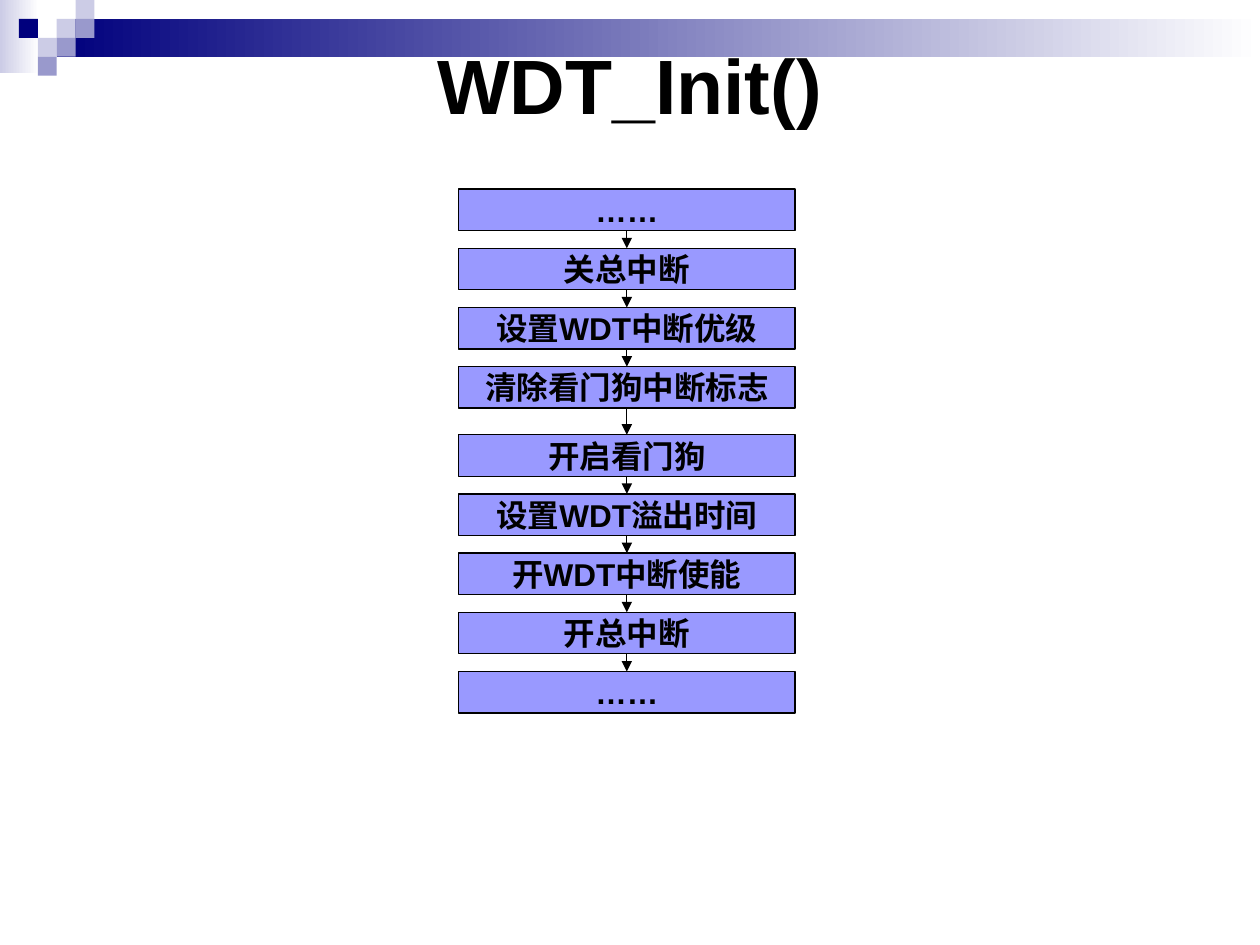
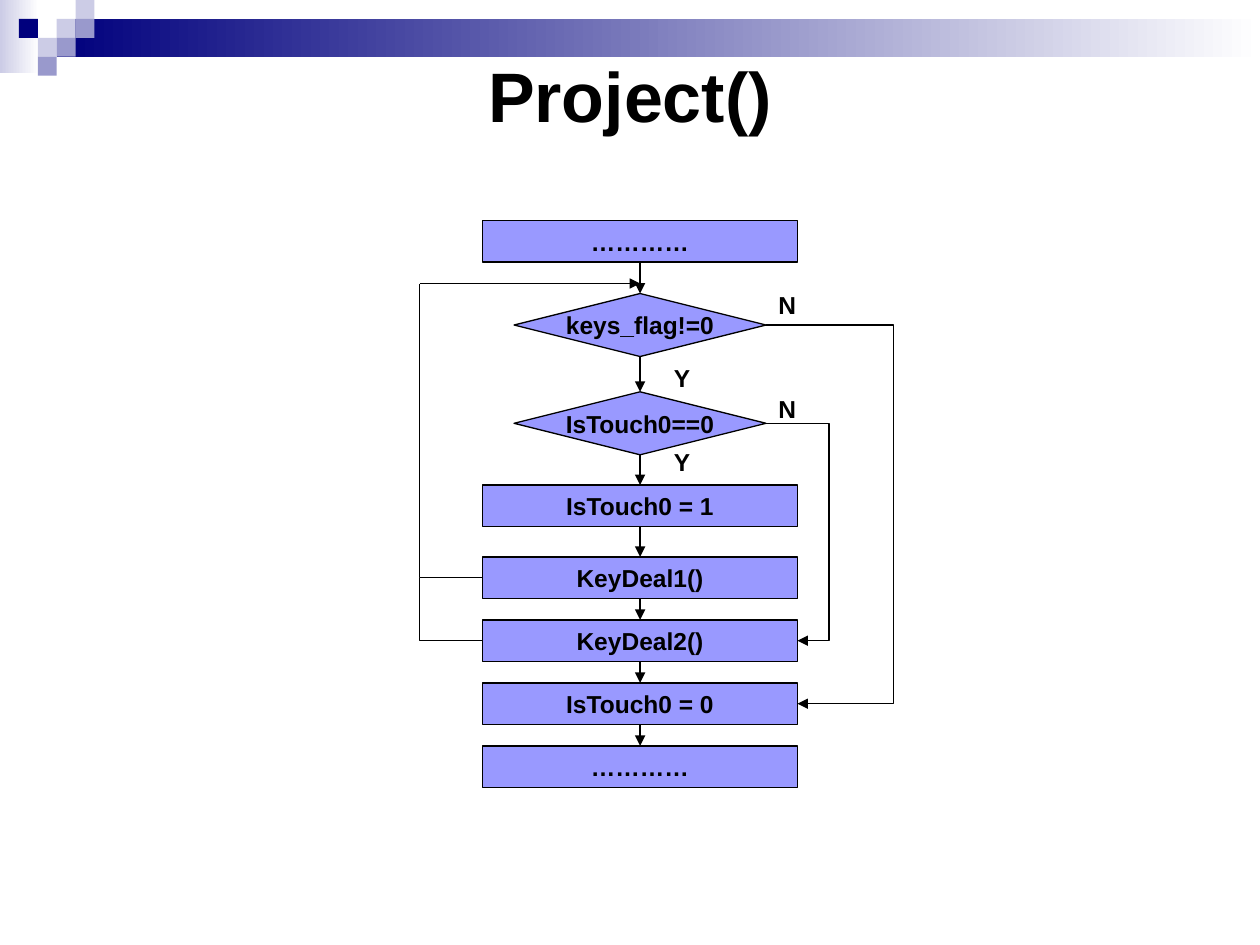
"""Build two flowchart slides for a watchdog and key-handling program."""
import dataclasses

import pptx
import pptx.dml.color
import pptx.enum.shapes
import pptx.enum.text
import pptx.oxml.ns
import pptx.oxml.xmlchemy
import pptx.util

Inches = pptx.util.Inches
Shape = pptx.enum.shapes.MSO_SHAPE
Connector = pptx.enum.shapes.MSO_CONNECTOR
Align = pptx.enum.text.PP_ALIGN
Anchor = pptx.enum.text.MSO_ANCHOR
OxmlElement = pptx.oxml.xmlchemy.OxmlElement
qn = pptx.oxml.ns.qn
TOP, LEFT, BOTTOM, RIGHT = range(4)


@dataclasses.dataclass(frozen=True)
class Theme:
    """Colours, font and sizes used on every slide."""
    ink: str = "000000"
    node: str = "9999FF"
    navy: str = "00007D"
    mid: str = "9999CC"
    pale: str = "CCCCE6"
    white: str = "FFFFFF"
    font: str = "Arial"
    init_title: int = 44
    project_title: int = 40
    init_node: int = 18
    project_node: int = 14
    line: float = 0.75


@dataclasses.dataclass(frozen=True)
class Box:
    """A region in inches."""
    x: float
    y: float
    w: float
    h: float


THEME = Theme()


def rgb(value):
    """Turn a hex string into a colour."""
    return pptx.dml.color.RGBColor.from_string(value)


def write(tf, text, size, align=Align.CENTER, anchor=Anchor.MIDDLE, wrap=False):
    """Put one bold run into a text frame."""
    tf.word_wrap = wrap
    tf.auto_size = pptx.enum.text.MSO_AUTO_SIZE.NONE
    tf.vertical_anchor = anchor
    p = tf.paragraphs[0]
    p.alignment = align
    r = p.add_run()
    r.text = text
    r.font.name = THEME.font
    r.font.size = pptx.util.Pt(size)
    r.font.bold = True
    r.font.color.rgb = rgb(THEME.ink)


def add_block(slide, kind, box, *colours):
    """Add a borderless shape, with a gradient for two colours."""
    sp = slide.shapes.add_shape(kind, Inches(box.x), Inches(box.y),
                                Inches(box.w), Inches(box.h))
    sp.shadow.inherit = False
    sp.line.fill.background()
    if len(colours) == 1:
        sp.fill.solid()
        sp.fill.fore_color.rgb = rgb(colours[0])
    else:
        sp.fill.gradient()
        sp.fill.gradient_angle = 0
        for stop, colour in zip(sp.fill.gradient_stops, colours):
            stop.color.rgb = rgb(colour)
    return sp


def add_node(slide, kind, box, text, size):
    """Add one labelled flowchart node."""
    sp = add_block(slide, kind, box, THEME.node)
    sp.line.color.rgb = rgb(THEME.ink)
    sp.line.width = pptx.util.Pt(THEME.line)
    write(sp.text_frame, text, size)
    return sp


def add_line(slide, start, end, kind=Connector.STRAIGHT, arrow=True):
    """Add a thin connector between two points."""
    c = slide.shapes.add_connector(kind, *(Inches(v) for v in (*start, *end)))
    c.line.color.rgb = rgb(THEME.ink)
    c.line.width = pptx.util.Pt(THEME.line)
    if arrow:
        tail = OxmlElement("a:tailEnd")
        tail.set("type", "triangle")
        c.element.spPr.find(qn("a:ln")).append(tail)
    c.element.spPr.append(OxmlElement("a:effectLst"))
    return c


def add_skip(slide, start, end, lane):
    """Route an arrow out to a vertical lane and back to its end."""
    c = add_line(slide, start, end, Connector.ELBOW)
    guides = c.element.spPr.find(qn("a:prstGeom")).get_or_add_avLst()
    gd = OxmlElement("a:gd")
    gd.set("name", "adj1")
    ratio = (lane - start[0]) / (end[0] - start[0])
    gd.set("fmla", f"val {round(ratio * 100000)}")
    guides.append(gd)


def add_return(slide, start, end):
    """Draw a corner that runs left from start and then up to end."""
    c = add_line(slide, end, start, Connector.ELBOW, arrow=False)
    c.element.spPr.find(qn("a:prstGeom")).set("prst", "bentConnector2")
    c.element.spPr.find(qn("a:xfrm")).set("rot", str(180 * 60000))


def link_nodes(slide, nodes):
    """Join each node to the next with an arrow."""
    for upper, lower in zip(nodes, nodes[1:]):
        c = add_line(slide, (0, 0), (0, 0))
        c.begin_connect(upper, BOTTOM)
        c.end_connect(lower, TOP)


def decorate_layout(slide, layout):
    """Move the shared band and squares into the layout."""
    for ph in list(layout.placeholders)[1:]:
        ph.element.getparent().remove(ph.element)
    unit = 0.15
    squares = [(3, 1, THEME.pale), (4, 0, THEME.pale), (4, 1, THEME.mid),
               (2, 2, THEME.pale), (1, 1, THEME.navy), (3, 2, THEME.mid),
               (2, 3, THEME.mid)]
    parts = [add_block(slide, Shape.RECTANGLE, Box(0, 0, 0.31, 0.58),
                       THEME.pale, THEME.white),
             add_block(slide, Shape.RECTANGLE, Box(0.45, 0.15, 9.55, 0.3),
                       THEME.navy, THEME.white)]
    parts += [add_block(slide, Shape.RECTANGLE,
                        Box(col * unit, row * unit, unit, unit), colour)
              for col, row, colour in squares]
    for i, sp in enumerate(parts):
        layout.shapes.element.insert(2 + i, sp.element)


def set_title(slide, text, size, box):
    """Place and fill the title placeholder."""
    sp = slide.shapes.title
    sp.left, sp.top = Inches(box.x), Inches(box.y)
    sp.width, sp.height = Inches(box.w), Inches(box.h)
    write(sp.text_frame, text, size, wrap=True)


def draw_init_flow(slide, box):
    """Draw the watchdog set-up steps as one column."""
    steps = ["……", "关总中断", "设置WDT中断优级", "清除看门狗中断标志", "开启看门狗",
             "设置WDT溢出时间", "开WDT中断使能", "开总中断", "……"]
    height, gap, break_after, extra = 0.33, 0.14, 3, 0.07
    nodes = []
    for i, text in enumerate(steps):
        y = box.y + i * (height + gap) + (extra if i > break_after else 0)
        nodes.append(add_node(slide, Shape.RECTANGLE,
                              Box(box.x, y, box.w, height), text, THEME.init_node))
    link_nodes(slide, nodes)


def draw_project_flow(slide, box):
    """Draw the key-handling loop with its two decisions."""
    node_w, node_h, test_w, test_h = 2.5, 0.33, 2, 0.5
    centre = box.x + 1.75
    node_left, node_right = centre - node_w / 2, centre + node_w / 2
    test_right = centre + test_w / 2
    tests = {"keys_flag!=0": 0.58, "IsTouch0==0": 1.36}
    tail = ["KeyDeal1()", "KeyDeal2()", "IsTouch0 = 0", "…………"]
    steps = [("…………", 0), *tests.items(), ("IsTouch0 = 1", 2.1)]
    steps += [(text, 2.67 + 0.5 * i) for i, text in enumerate(tail)]

    nodes, middle = [], {}
    for text, dy in steps:
        kind, w, h = ((Shape.DIAMOND, test_w, test_h) if text in tests
                      else (Shape.RECTANGLE, node_w, node_h))
        y = box.y + dy
        nodes.append(add_node(slide, kind, Box(centre - w / 2, y, w, h),
                              text, THEME.project_node))
        middle[text] = y + h / 2
    link_nodes(slide, nodes)

    for test, target, lane in [("keys_flag!=0", "IsTouch0 = 0", box.x + box.w),
                               ("IsTouch0==0", "KeyDeal2()", node_right + 0.25)]:
        add_skip(slide, (test_right, middle[test]),
                 (node_right, middle[target]), lane)

    loop_y = box.y + 0.5
    add_return(slide, (node_left, middle["KeyDeal2()"]),
               (box.x, middle["KeyDeal1()"]))
    add_return(slide, (node_left, middle["KeyDeal1()"]), (box.x, loop_y))
    add_line(slide, (box.x, loop_y), (centre, loop_y))

    for text, x, dy in [("N", test_right, 0.5), ("Y", centre + 0.17, 1.08),
                        ("N", test_right, 1.33), ("Y", centre + 0.17, 1.75)]:
        tb = slide.shapes.add_textbox(Inches(x), Inches(box.y + dy),
                                      Inches(0.33), Inches(0.34))
        write(tb.text_frame, text, THEME.project_node, Align.LEFT, Anchor.TOP, True)


def main():
    """Build and save the presentation."""
    prs = pptx.Presentation()
    prs.slide_width, prs.slide_height = Inches(10), Inches(7.5)
    layout = prs.slide_layouts[5]

    init = prs.slides.add_slide(layout)
    decorate_layout(init, layout)
    set_title(init, "WDT_Init()", THEME.init_title, Box(0.5, 0.5, 9, 0.33))
    draw_init_flow(init, Box(3.64, 1.5, 2.67, 4.17))

    project = prs.slides.add_slide(layout)
    set_title(project, "Project()", THEME.project_title, Box(0.5, 0.5, 9, 0.5))
    draw_project_flow(project, Box(3.33, 1.75, 3.76, 4.5))

    prs.save("out.pptx")


if __name__ == "__main__":
    main()
